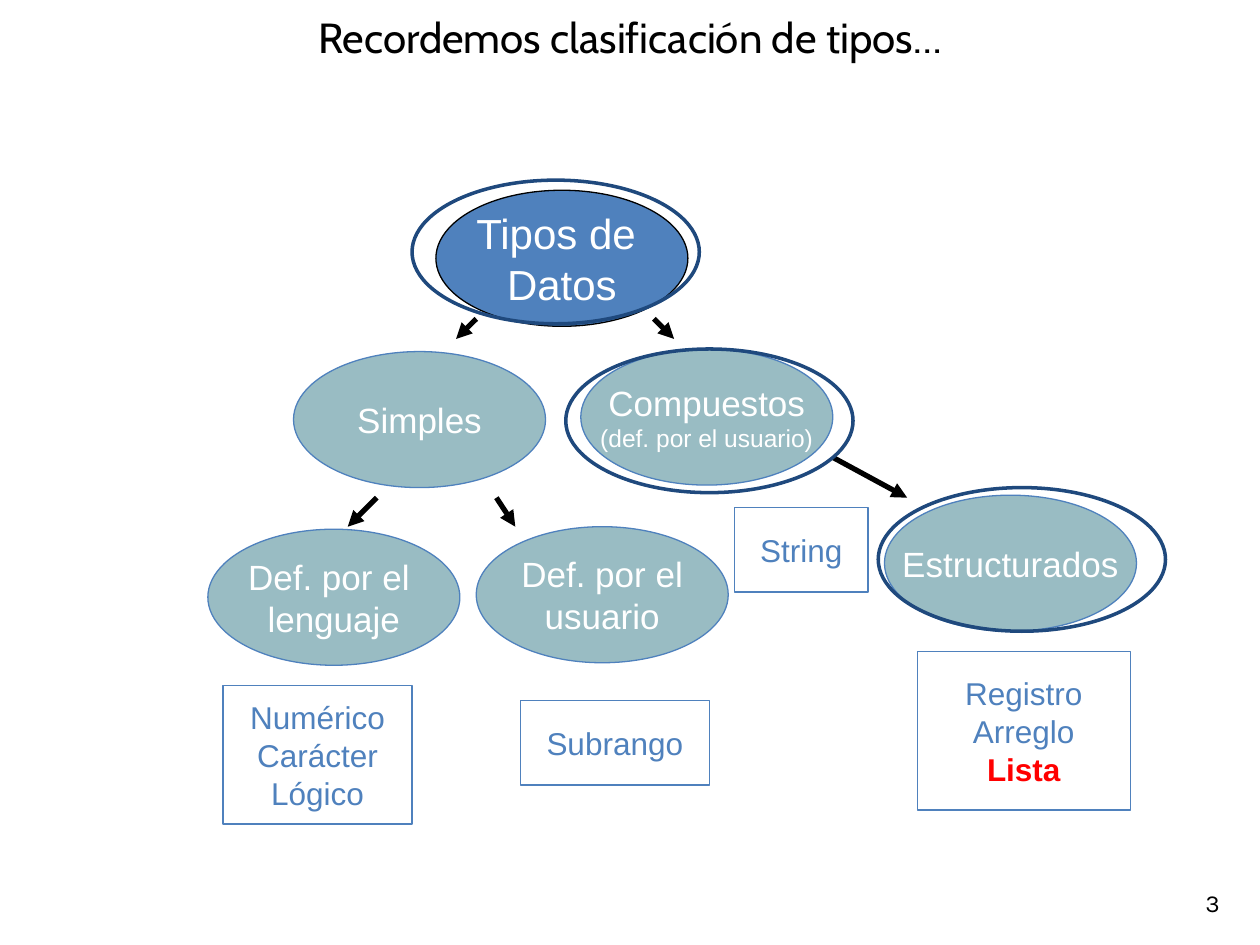
from lxml.etree import SubElement
from pptx import Presentation
from pptx.dml.color import RGBColor
from pptx.enum.shapes import MSO_CONNECTOR, MSO_SHAPE
from pptx.enum.text import MSO_ANCHOR, PP_ALIGN
from pptx.oxml.ns import qn
from pptx.util import Inches, Pt

BLACK, WHITE, RED = "000000", "FFFFFF", "FF0000"
BLUE, NAVY, TEAL = "4F81BD", "1F497D", "99BCC3"


def color(hex_code):
    return RGBColor.from_string(hex_code)


class TypeTree:
    """Style and current slide of the type classification."""

    font = "Arial"
    node_size = (2, 1.08)
    ring_size = (2.28, 1.14)

    def __init__(self, slide):
        self.slide = slide

    def add_lines(self, frame, lines, font=None, align=PP_ALIGN.CENTER,
                  anchor=MSO_ANCHOR.MIDDLE, wrap=False):
        """Each line is (text, size, colour, bold)."""
        frame.word_wrap = wrap
        frame.vertical_anchor = anchor
        for index, (text, size, ink, bold) in enumerate(lines):
            paragraph = frame.add_paragraph() if index else frame.paragraphs[0]
            paragraph.alignment = align
            run = paragraph.add_run()
            run.text = text
            run.font.name = font or self.font
            run.font.size = Pt(size)
            run.font.bold = bold
            run.font.color.rgb = color(ink)

    def outline(self, preset, at, size, fill=None, line=None, width=0.75):
        shape = self.slide.shapes.add_shape(
            preset, *(Inches(value) for value in (*at, *size)))
        shape.shadow.inherit = False
        if fill:
            shape.fill.solid()
            shape.fill.fore_color.rgb = color(fill)
        else:
            shape.fill.background()
        if line:
            shape.line.color.rgb = color(line)
            shape.line.width = Pt(width)
        else:
            shape.line.fill.background()
        return shape

    def node(self, at, *lines, fill=TEAL, line=BLUE):
        ellipse = self.outline(MSO_SHAPE.OVAL, at, self.node_size, fill, line)
        self.add_lines(ellipse.text_frame,
                       [(text, size, WHITE, False) for text, size in lines])

    def ring(self, at):
        self.outline(MSO_SHAPE.OVAL, at, self.ring_size, line=NAVY, width=2)

    def examples(self, at, size, *names, highlight=None):
        box = self.outline(MSO_SHAPE.RECTANGLE, at, size, WHITE, BLUE)
        self.add_lines(box.text_frame,
                       [(name, 18, RED if name == highlight else BLUE,
                         name == highlight) for name in names])

    def arrow(self, start, end):
        link = self.slide.shapes.add_connector(
            MSO_CONNECTOR.STRAIGHT,
            *(Inches(value) for value in (*start, *end)))
        link.line.color.rgb = color(BLACK)
        link.line.width = Pt(3)
        properties = link._element.spPr
        SubElement(properties.find(qn("a:ln")), qn("a:tailEnd"), type="triangle")
        SubElement(properties, qn("a:effectLst"))

    def title(self, text):
        banner = self.outline(MSO_SHAPE.RECTANGLE, (0, 0.04), (10, 0.68), WHITE)
        self.add_lines(banner.text_frame, [(text, 24, BLACK, False)], "Cabin",
                       anchor=MSO_ANCHOR.TOP, wrap=True)

    def page_number(self, text):
        box = self.slide.shapes.add_textbox(
            Inches(7.7), Inches(6.83), Inches(2.08), Inches(0.5))
        self.add_lines(box.text_frame, [(text, 14, BLACK, False)], "Karla",
                       PP_ALIGN.RIGHT, MSO_ANCHOR.BOTTOM, wrap=True)


def main():
    deck = Presentation()
    deck.slide_width, deck.slide_height = Inches(10), Inches(7.5)
    tree = TypeTree(deck.slides.add_slide(deck.slide_layouts[6]))

    tree.page_number("3")

    # Root and its two branches
    tree.node((3.46, 1.51), ("Tipos de ", 24), ("Datos", 24),
              fill=BLUE, line=BLACK)
    tree.node((2.33, 2.79), ("Simples", 20))
    tree.node((4.61, 2.77), ("Compuestos", 20), ("(def. por el usuario)", 14))
    tree.arrow((3.78, 2.53), (3.62, 2.69))
    tree.arrow((5.19, 2.53), (5.35, 2.69))

    # Simple types
    tree.node((1.65, 4.2), ("Def. por el ", 20), ("lenguaje", 20))
    tree.node((3.78, 4.18), ("Def. por el", 20), ("usuario", 20))
    tree.arrow((2.99, 3.95), (2.76, 4.18))
    tree.arrow((3.94, 3.95), (4.09, 4.18))
    tree.examples((1.77, 5.44), (1.5, 1.1), "Numérico", "Carácter", "Lógico")
    tree.examples((4.13, 5.56), (1.5, 0.67), "Subrango")

    # Compound types
    tree.examples((5.83, 4.03), (1.06, 0.67), "String")
    tree.examples((7.28, 5.17), (1.69, 1.26), "Registro", "Arreglo", "Lista",
                  highlight="Lista")
    tree.node((7.02, 3.93), ("Estructurados", 20))
    tree.arrow((6.61, 3.63), (7.2, 3.95))

    # Rings around the path to structured types
    for corner in ((3.27, 1.43), (4.49, 2.77), (6.97, 3.87)):
        tree.ring(corner)

    tree.title("Recordemos clasificación de tipos…")
    deck.save("out.pptx")


if __name__ == "__main__":
    main()
